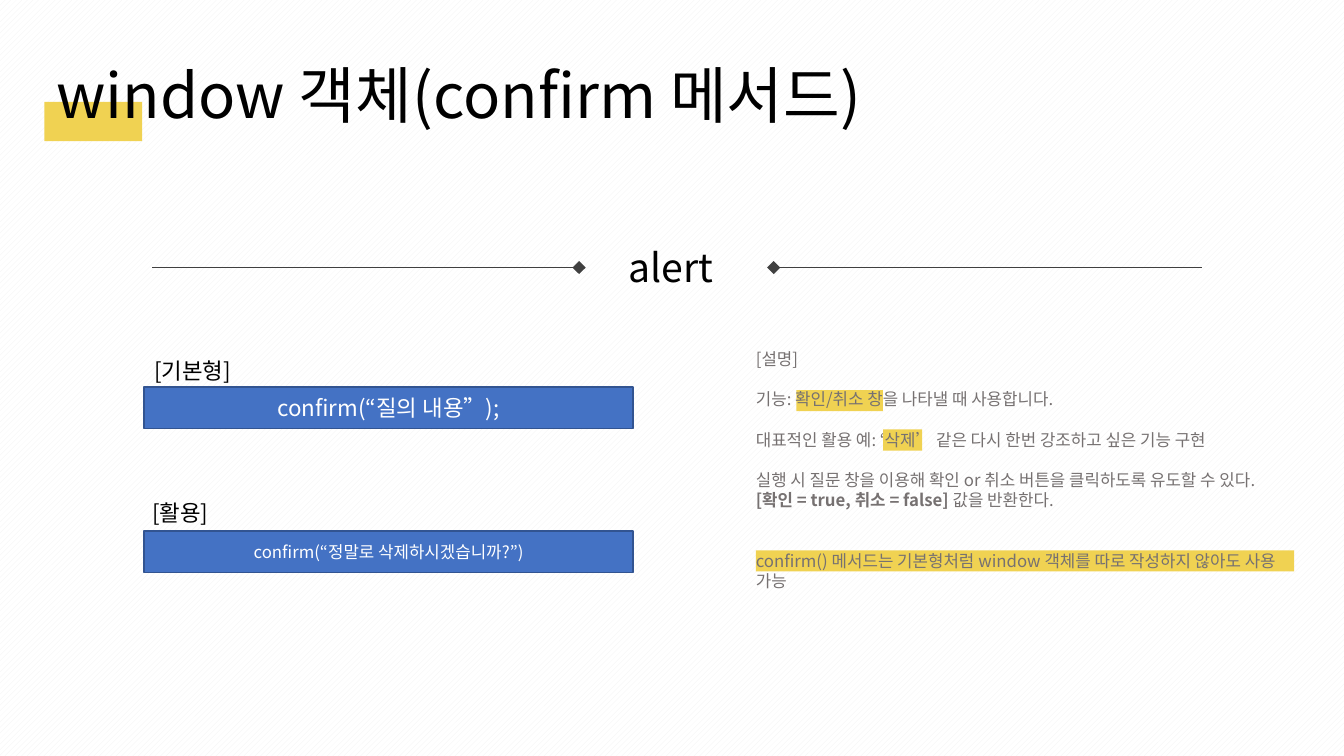
from lxml import etree
from pptx import Presentation
from pptx.dml.color import RGBColor as RGB
from pptx.enum.dml import MSO_PATTERN as PATTERN
from pptx.enum.shapes import MSO_CONNECTOR as CONN, MSO_SHAPE as SHAPE
from pptx.enum.text import MSO_ANCHOR as ANCHOR, MSO_AUTO_SIZE as AUTO, PP_ALIGN as ALIGN
from pptx.oxml.ns import qn
from pptx.util import Inches, Pt

FONT = "Noto Sans CJK KR"
COLORS = {
    "black": "000000", "white": "FFFFFF", "stripe": "F2F2F2", "mark": "F0D252",
    "gray": "767171", "rule": "404040", "code": "4472C4", "edge": "325491",
}


class SlideBuilder:
    """Draws styled elements on a slide, with lengths in percent of its size."""

    def __init__(self, prs):
        self.prs = prs
        self.s = prs.slides.add_slide(prs.slide_layouts[6])

    def color(self, name):
        return RGB.from_string(COLORS[name])

    def x(self, share):
        return round(self.prs.slide_width * share / 100)

    def y(self, share):
        return round(self.prs.slide_height * share / 100)

    def box(self, left, top, width, height):
        return self.x(left), self.y(top), self.x(width), self.y(height)

    def background(self, fore, back):
        fill = self.s.background.fill
        fill.patterned()
        fill.pattern = PATTERN.WIDE_UPWARD_DIAGONAL
        fill.fore_color.rgb = self.color(fore)
        fill.back_color.rgb = self.color(back)

    def shape(self, kind, at, fill, edge=None):
        sp = self.s.shapes.add_shape(kind, *self.box(*at))
        sp.shadow.inherit = False
        sp.fill.solid()
        sp.fill.fore_color.rgb = self.color(fill)
        if edge:
            sp.line.color.rgb = self.color(edge)
            sp.line.width = Pt(1)
        else:
            sp.line.fill.background()
        return sp

    def paragraphs(self, tf, paragraphs, size, color, align=ALIGN.LEFT):
        for i, (gap, runs) in enumerate(paragraphs):
            p = tf.add_paragraph() if i else tf.paragraphs[0]
            line = Pt(1.2 * size)
            formats = {"alignment": align, "line_spacing": line, "space_before": line * gap}
            for key, value in formats.items():
                setattr(p, key, value)
            for text, bold in runs:
                r = p.add_run()
                r.text = text
                r.font.color.rgb = self.color(color)
                for key, value in {"size": Pt(size), "name": FONT, "bold": bold}.items():
                    setattr(r.font, key, value)
                etree.SubElement(r._r.get_or_add_rPr(), qn("a:ea"), typeface=FONT)

    def text(self, at, paragraphs, size, color="black", align=ALIGN.LEFT):
        tf = self.s.shapes.add_textbox(*self.box(*at)).text_frame
        for key, value in {"word_wrap": True, "auto_size": AUTO.SHAPE_TO_FIT_TEXT}.items():
            setattr(tf, key, value)
        self.paragraphs(tf, paragraphs, size, color, align)

    def code(self, at, text, size):
        tf = self.shape(SHAPE.RECTANGLE, at, "code", "edge").text_frame
        for key, value in {"word_wrap": True, "vertical_anchor": ANCHOR.MIDDLE}.items():
            setattr(tf, key, value)
        self.paragraphs(tf, plain(text), size, "white", ALIGN.CENTER)

    def rule(self, outer, left, top, site):
        diamond = self.shape(SHAPE.DIAMOND, (left, top, 0.98, 1.73), "rule")
        y = self.y(top + 0.8)
        line = self.s.shapes.add_connector(CONN.STRAIGHT, self.x(outer), y, self.x(left), y)
        line.end_connect(diamond, site)
        line.begin_y = line.end_y
        line.line.color.rgb = self.color("rule")
        line.line.width = Pt(0.5)
        etree.SubElement(line._element.spPr, qn("a:effectLst"))


def plain(text):
    return [(0, [(text, False)])]


MARKS = [
    (56.25, 72.8, 40.05, 2.8),
    (3.3, 13.47, 7.28, 5.2),
    (59.25, 51.6, 6.45, 2.8),
    (65.7, 56.8, 2.92, 2.8),
]
RULES = [(11.33, 42.6, 34.53, 1), (89.4, 57.08, 34.53, 3)]
EXAMPLES = [
    ("[기본형]", 10.73, 46.53, "confirm(“질의 내용”);", 51.2, 16),
    ("[활용]", 10.58, 65.33, "confirm(“정말로 삭제하시겠습니까?”)", 70.27, 12),
]
NOTES = [
    (0, [("[설명]", False)]),
    (1, [("기능: 확인/취소 창을 나타낼 때 사용합니다.", False)]),
    (1, [("대표적인 활용 예: ‘삭제’ 같은 다시 한번 강조하고 싶은 기능 구현", False)]),
    (1, [("실행 시 질문 창을 이용해 확인 or 취소 버튼을 클릭하도록 유도할 수 있다.", False)]),
    (0, [("[확인 = true, 취소 = false] ", True), ("값을 반환한다.", False)]),
    (2, [("confirm() 메서드는 기본형처럼 window 객체를 따로 작성하지 않아도 사용 가능", False)]),
]


def main():
    prs = Presentation()
    prs.slide_width, prs.slide_height = Inches(13.33), Inches(7.5)
    b = SlideBuilder(prs)
    b.background("stripe", "white")
    for at in MARKS:
        b.shape(SHAPE.RECTANGLE, at, "mark")
    b.text((3.45, 6.93, 64.27, 11.2), plain("window 객체(confirm 메서드)"), 44)
    b.text((55.5, 45.47, 42.15, 30.93), NOTES, 12, "gray")
    for rule in RULES:
        b.rule(*rule)
    b.text((42.6, 31.6, 14.62, 7.6), plain("alert"), 28, align=ALIGN.CENTER)
    for label, left, label_top, code, code_top, size in EXAMPLES:
        b.code((10.73, code_top, 36.37, 5.47), code, size)
        b.text((left, label_top, 15.15, 3.47), plain(label), 16)
    prs.save("out.pptx")


if __name__ == "__main__":
    main()
